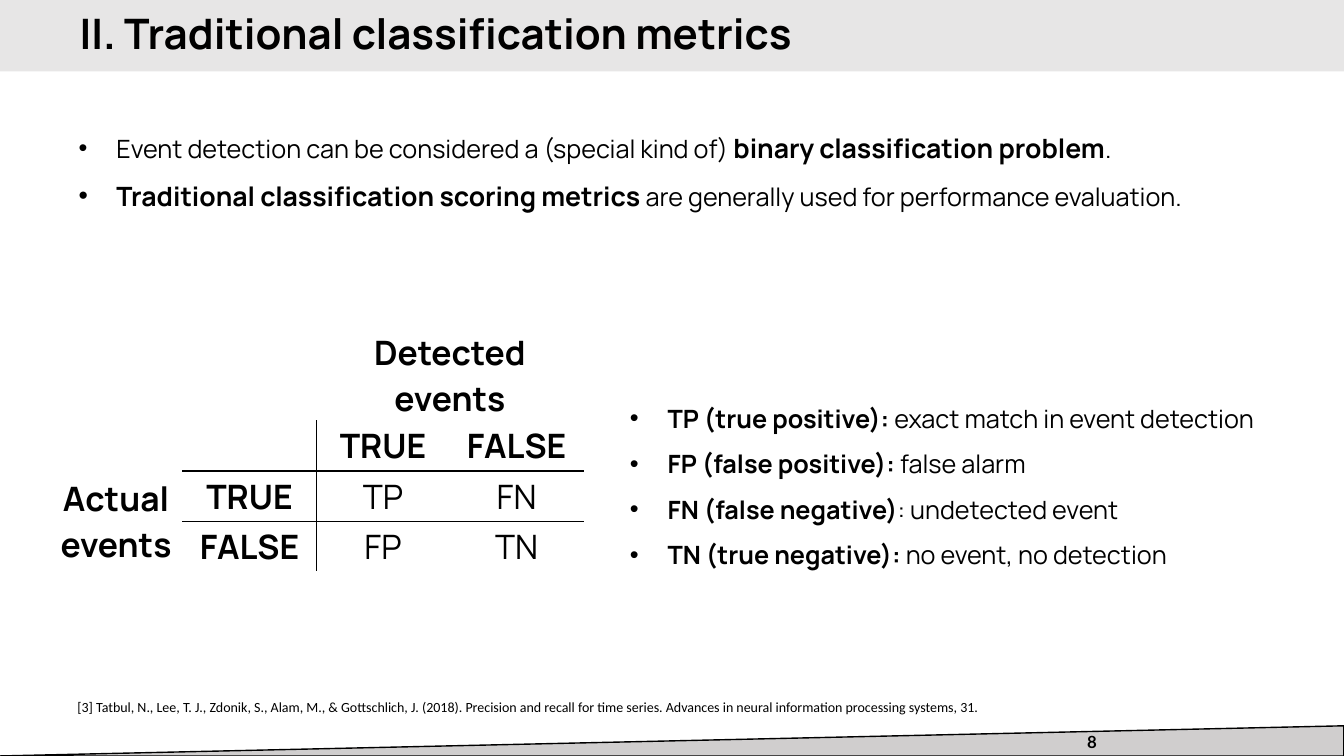
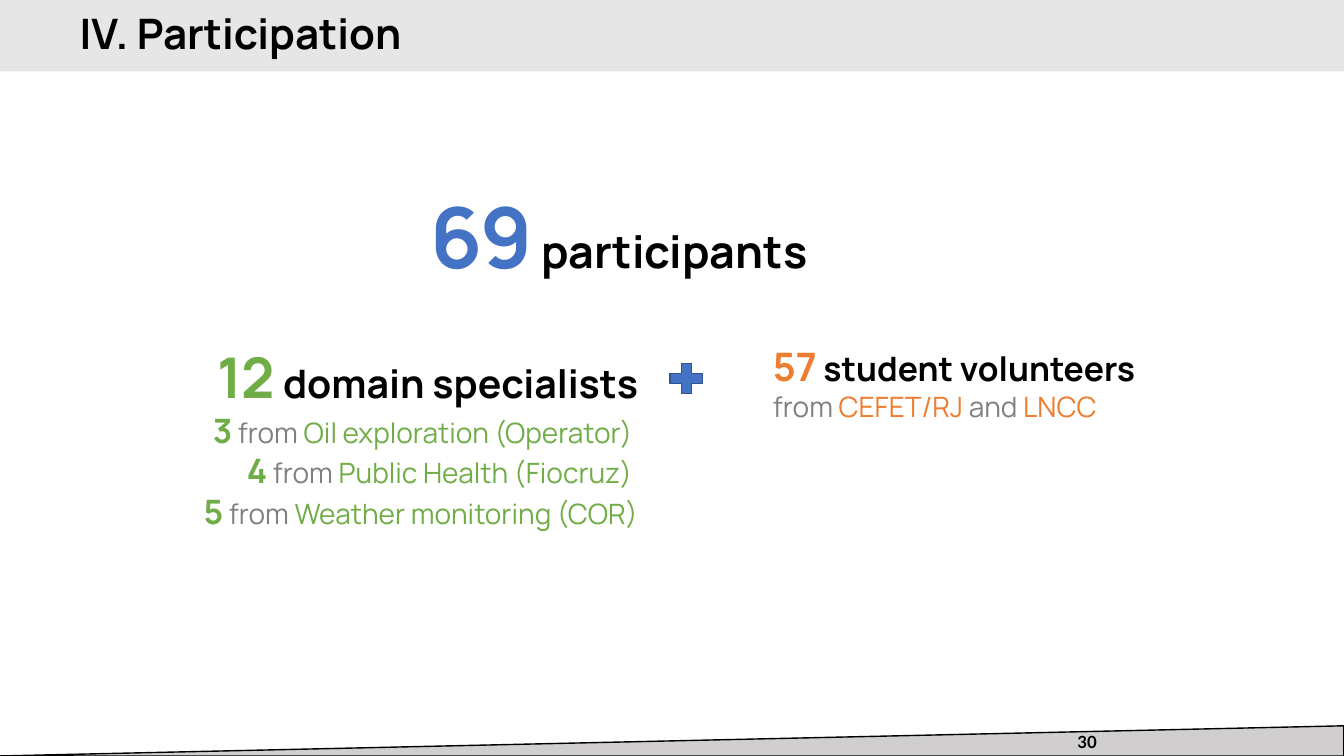
from collections import namedtuple

from lxml import etree
from pptx import Presentation
from pptx import util as u
from pptx.dml.color import RGBColor
from pptx.enum import shapes, text
from pptx.oxml.ns import qn

BLACK = RGBColor(0x00, 0x00, 0x00)
GREY = RGBColor(0x80, 0x80, 0x80)
BAND_GREY = RGBColor(0xE7, 0xE6, 0xE6)
WEDGE_GREY = RGBColor(0xD0, 0xCE, 0xCE)
GREEN = RGBColor(0x70, 0xAD, 0x47)
ORANGE = RGBColor(0xED, 0x7D, 0x31)
BLUE = RGBColor(0x44, 0x72, 0xC4)
DARK_BLUE = RGBColor(0x32, 0x54, 0x91)

MAIN_FONT = "Manrope"
SLIDE_WIDTH, SLIDE_HEIGHT = 33.87, 19.05
BAND_HEIGHT, WEDGE_HEIGHT = 1.8, 0.76
TITLE_ONLY, TWO_CONTENT = 5, 3

# Box lengths are in centimetres.
Box = namedtuple("Box", "left top width height")
Span = namedtuple("Span", "words size bold colour", defaults=(18, False, BLACK))


def lengths(box):
    return [u.Cm(value) for value in box]


def place(shape, box):
    shape.left, shape.top, shape.width, shape.height = lengths(box)


def write(para, spans, align=text.PP_ALIGN.LEFT, font=MAIN_FONT):
    """Fill a paragraph with spans; what they all share goes on the paragraph."""
    para.alignment = align
    para.font.name = font
    for field in ("size", "bold", "colour"):
        values = [getattr(span, field) for span in spans]
        if len(set(values)) == 1:
            style(para.font, field, values[0])
    for span in spans:
        run = para.add_run()
        run.text = span.words
        for field in ("size", "bold", "colour"):
            if len({getattr(other, field) for other in spans}) > 1:
                style(run.font, field, getattr(span, field))


def style(font, field, value):
    if field == "size":
        font.size = u.Pt(value)
    elif field == "bold":
        font.bold = value
    else:
        font.color.rgb = value


def fill_frame(frame, lines, **options):
    for index, spans in enumerate(lines):
        para = frame.add_paragraph() if index else frame.paragraphs[0]
        write(para, spans, **options)


def add_text(page, box, lines, anchor=text.MSO_ANCHOR.TOP, **options):
    frame = page.shapes.add_textbox(*lengths(box)).text_frame
    frame.word_wrap = True
    frame.vertical_anchor = anchor
    fill_frame(frame, lines, **options)


def add_plain_shape(page, kind, box, fill, line=None):
    shape = page.shapes.add_shape(kind, *lengths(box))
    shape.shadow.inherit = False
    shape.fill.solid()
    shape.fill.fore_color.rgb = fill
    if line is None:
        shape.line.fill.background()
    else:
        shape.line.color.rgb = line
        shape.line.width = u.Pt(1)
    return shape


def move_bands_to_master(deck, page):
    """Draw the title band and the footer wedge once, behind every slide."""
    band = add_plain_shape(page, shapes.MSO_SHAPE.RECTANGLE,
                           Box(0, 0, SLIDE_WIDTH, BAND_HEIGHT), BAND_GREY)
    wedge = add_plain_shape(page, shapes.MSO_SHAPE.RIGHT_TRIANGLE,
                            Box(0, SLIDE_HEIGHT - WEDGE_HEIGHT, SLIDE_WIDTH, WEDGE_HEIGHT),
                            WEDGE_GREY, BLACK)
    wedge._element.spPr.find(qn("a:xfrm")).set("flipH", "1")
    tree = deck.slide_master.shapes._spTree
    for offset, shape in enumerate((band, wedge)):
        shape._element.nvSpPr.cNvPr.set("id", str(20 + offset))
        tree.insert(2 + offset, shape._element)


def add_page(deck, layout, title, number):
    page = deck.slides.add_slide(deck.slide_layouts[layout])
    heading = page.shapes.title
    place(heading, Box(1.75, 0, 29.97, BAND_HEIGHT))
    frame = heading.text_frame
    frame.auto_size = text.MSO_AUTO_SIZE.NONE
    frame.vertical_anchor = text.MSO_ANCHOR.MIDDLE
    frame.paragraphs[0].line_spacing = 0.9
    write(frame.paragraphs[0], [Span(title, 30, True)])
    add_text(page, Box(22.17, 18.19, 5.72, 1.02), [[Span(number, 12, True)]],
             anchor=text.MSO_ANCHOR.MIDDLE, align=text.PP_ALIGN.RIGHT, font="Lato")
    return page


def fill_bullets(holder, box, lines):
    place(holder, box)
    frame = holder.text_frame
    frame.auto_size = text.MSO_AUTO_SIZE.NONE
    for index, spans in enumerate(lines):
        para = frame.add_paragraph() if index else frame.paragraphs[0]
        para.line_spacing = 1.5
        para.space_before = u.Pt(0)
        props = para._p.get_or_add_pPr()
        indent = u.Cm(0.95)
        props.set("marL", str(indent))
        props.set("indent", str(-indent))
        etree.SubElement(props, qn("a:buFont"), typeface="Arial")
        etree.SubElement(props, qn("a:buChar"), char="•")
        write(para, spans, align=text.PP_ALIGN.JUSTIFY)


def draw_borders(cell, sides):
    """Draw a black border on each side named, out of L, R, T and B in that order."""
    props = cell._tc.get_or_add_tcPr()
    for index, side in enumerate(sides):
        line = etree.Element(qn("a:ln" + side), w=str(u.Pt(1)))
        fill = etree.SubElement(line, qn("a:solidFill"))
        etree.SubElement(fill, qn("a:srgbClr"), val=str(BLACK))
        props.insert(index, line)


def add_confusion_matrix(page, box):
    rows = [["", "", "Detected events", ""],
            ["", "", "TRUE", "FALSE"],
            ["Actual events", "TRUE", "TP", "FN"],
            ["", "FALSE", "FP", "TN"]]
    table = page.shapes.add_table(4, 4, *lengths(box)).table
    table.first_row = table.horz_banding = False
    for column in table.columns:
        column.width = u.Cm(box.width / 4)
    low_row = 1.27
    for index, row in enumerate(table.rows):
        row.height = u.Cm(low_row if index else box.height - 3 * low_row)
    table.cell(0, 2).merge(table.cell(0, 3))
    table.cell(2, 0).merge(table.cell(3, 0))
    for r, row in enumerate(rows):
        for c, words in enumerate(row):
            cell = table.cell(r, c)
            cell.fill.background()
            cell.margin_top = cell.margin_bottom = 0
            cell.vertical_anchor = text.MSO_ANCHOR.MIDDLE
            if words:
                heading = r < 2 or c < 2
                write(cell.text_frame.paragraphs[0], [Span(words, 24, heading)],
                      align=text.PP_ALIGN.CENTER)
            if r and c:
                tests = {"L": c == 2, "R": c == 1, "T": r > 1, "B": r < 3}
                draw_borders(cell, [side for side, drawn in tests.items() if drawn])


def build_metrics(page):
    bullets, legend = list(page.placeholders)[1:3]
    fill_bullets(bullets, Box(1.73, 2.79, 30.91, 2.57), [
        [Span("Event detection can be considered a (special kind of) "),
         Span("binary classification problem", 19, True), Span(".")],
        [Span("Traditional classification scoring metrics", 19, True),
         Span(" are generally used for performance evaluation.")]])
    add_confusion_matrix(page, Box(1.24, 8.31, 13.46, 6.1))
    fill_bullets(legend, Box(15.62, 9.65, 17.04, 4.78), [
        [Span(term, bold=True), Span(meaning)] for term, meaning in (
            ("TP (true positive): ", "exact match in event detection"),
            ("FP (false positive):", " false alarm"),
            ("FN (false negative)", ": undetected event"),
            ("TN (true negative):", " no event, no detection"))])
    citation = ("[3] Tatbul, N., Lee, T. J., Zdonik, S., Alam, M., & Gottschlich, J. (2018). "
                "Precision and recall for time series. "
                "Advances in neural information processing systems, 31.")
    add_text(page, Box(1.7, 17.48, 25.55, 0.69), [[Span(citation, 10)]], font="Calibri")


def build_participation(page):
    add_text(page, Box(10.59, 4.52, 18.34, 2.82), [
        [Span("69", 60, True, BLUE), Span(" participants", 32, True)]])
    specialists = [[Span("12", 40, True, GREEN), Span(" domain specialists", 28, True)]]
    for count, field in (("3", "Oil exploration (Operator) "),
                         ("4", "Public Health (Fiocruz) "),
                         ("5", "Weather monitoring (COR)")):
        specialists.append([Span(count, 24, True, GREEN), Span(" from ", 20, False, GREY),
                            Span(field, 20, False, GREEN)])
    add_text(page, Box(2.5, 8.51, 13.83, 5.21), specialists, align=text.PP_ALIGN.RIGHT)
    add_plain_shape(page, shapes.MSO_SHAPE.MATH_PLUS, Box(16.74, 9.02, 1.12, 1.04),
                    BLUE, DARK_BLUE)
    add_text(page, Box(19.23, 8.51, 11.51, 3.33), [
        [Span("57", 28, True, ORANGE), Span(" student volunteers", 24, True)],
        [Span(words, 20, False, colour) for words, colour in (
            ("from ", GREY), ("CEFET/RJ", ORANGE), (" and ", GREY), ("LNCC", ORANGE))]])


def main():
    deck = Presentation()
    deck.slide_width, deck.slide_height = u.Cm(SLIDE_WIDTH), u.Cm(SLIDE_HEIGHT)
    metrics = add_page(deck, TWO_CONTENT, "II. Traditional classification metrics", "8")
    move_bands_to_master(deck, metrics)
    build_metrics(metrics)
    build_participation(add_page(deck, TITLE_ONLY, "IV. Participation", "30"))
    deck.save("out.pptx")


if __name__ == "__main__":
    main()
